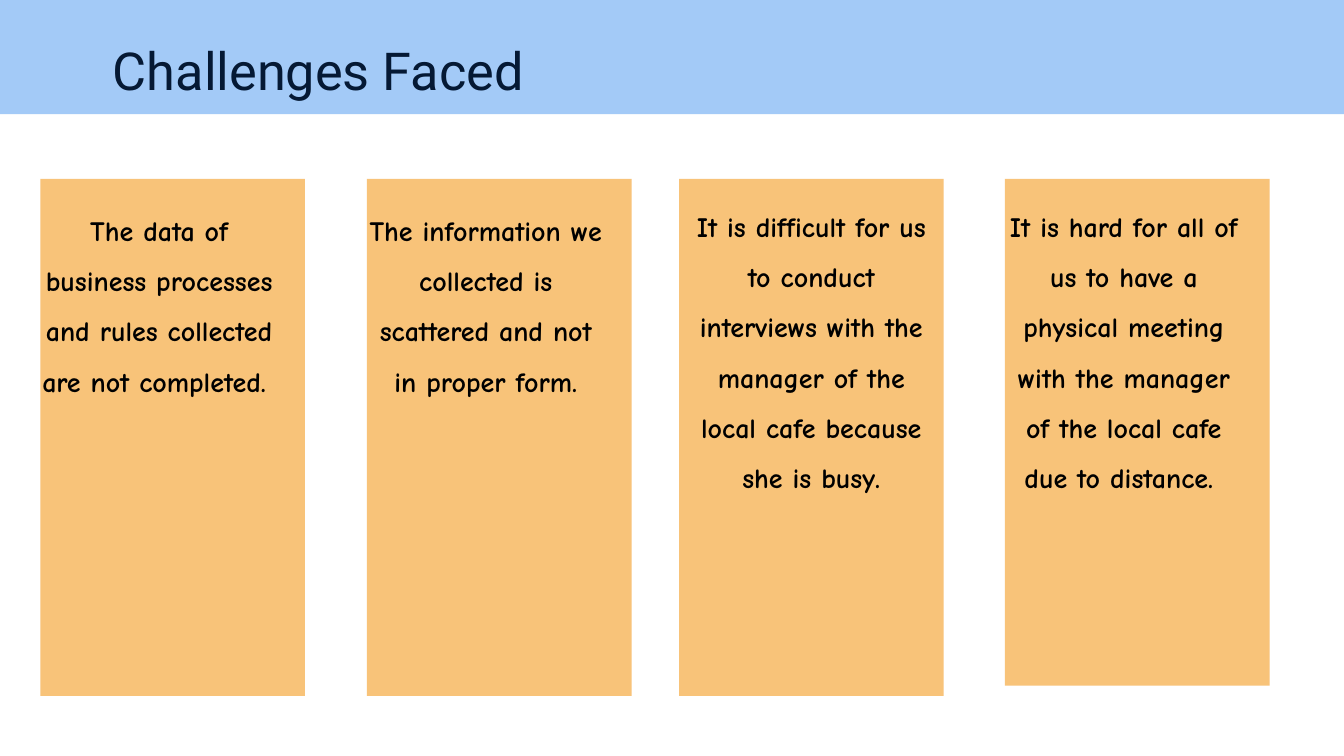
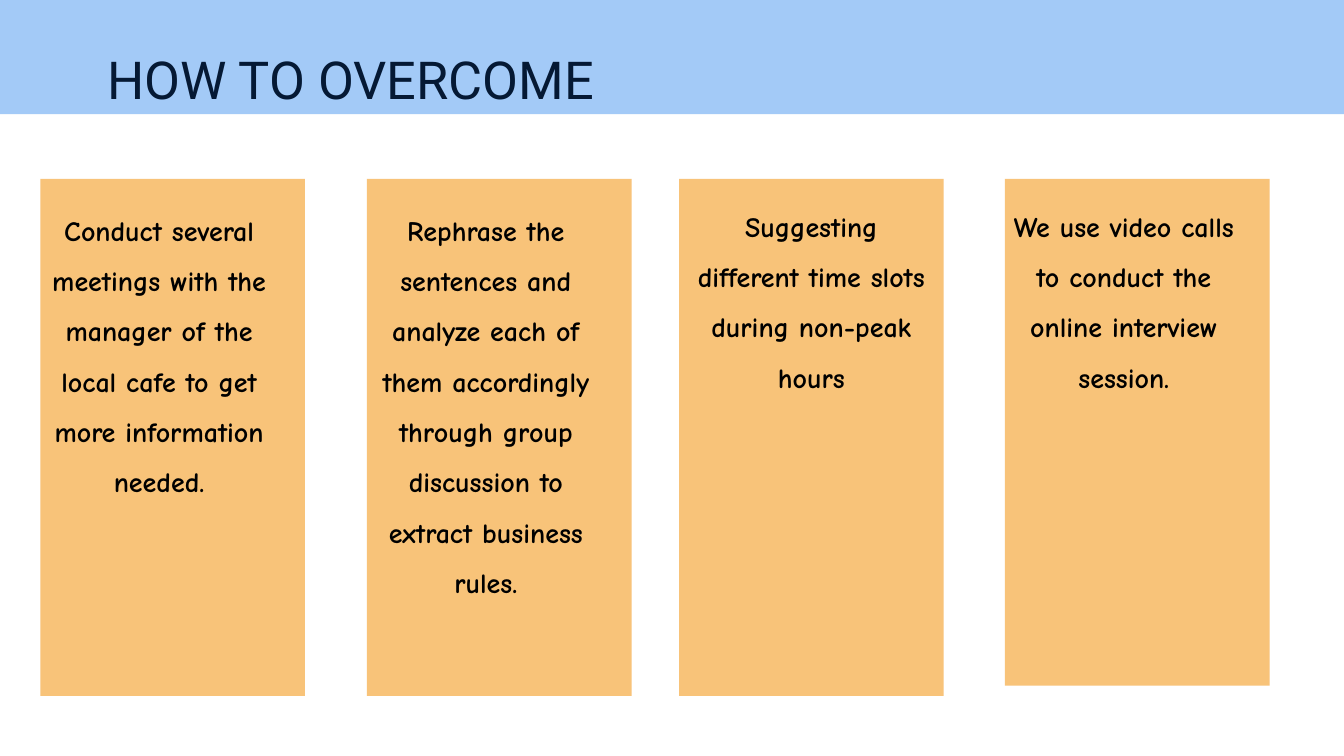
from dataclasses import dataclass

from lxml import etree
from pptx import Presentation
from pptx import util as u
from pptx.dml.color import RGBColor
from pptx.enum import shapes, text
from pptx.oxml.ns import qn

SLIDE_WIDTH, SLIDE_HEIGHT = 720, 405
BAND_HEIGHT = 61.2
CARD_TOP, CARD_WIDTH = 95.8, 141.8
COMPARISON_LAYOUT = 4

WHITE, BAND_BLUE, CARD_ORANGE = "FFFFFF", "A3CAF7", "F8C379"
TITLE_NAVY, BODY_BLACK = "051934", "000000"


@dataclass(frozen=True)
class Box:
    left: float
    top: float
    width: float
    height: float

    def lengths(self) -> tuple:
        return tuple(u.Pt(v) for v in (self.left, self.top, self.width, self.height))


@dataclass(frozen=True)
class TextStyle:
    font: str
    size: float
    colour: str
    bold: bool
    align: text.PP_ALIGN
    spacing: float


@dataclass(frozen=True)
class Column:
    card: Box
    caption: Box


@dataclass(frozen=True)
class Page:
    heading: str
    heading_box: Box
    points: tuple[str, ...]


HEADING = TextStyle("Roboto", 28, TITLE_NAVY, False, text.PP_ALIGN.LEFT, 1.0)
POINT = TextStyle("Comic Neue", 15, BODY_BLACK, True, text.PP_ALIGN.CENTER, 1.5)


def column(left: float, card_height: float, shift: float, drop: float, height: float) -> Column:
    return Column(
        Box(left, CARD_TOP, CARD_WIDTH, card_height),
        Box(left + shift, CARD_TOP + drop, CARD_WIDTH, height),
    )


COLUMNS = (
    column(21.6, 277, -7.2, 2.2, 61.2),
    column(196.6, 277, -7.2, 2.2, 61.2),
    column(363.8, 277, 0, 0, 95.8),
    column(538.4, 271.5, -7.2, 0, 65.5),
)

PAGES = (
    Page("Challenges Faced", Box(53.3, 13, 556.6, 45.4), (
        "The data of business processes and rules collected are not completed. ",
        "The information we collected is scattered and not in proper form.",
        "It is difficult for us to conduct interviews with the manager of the local cafe because she is busy.",
        "It is hard for all of us to have a physical meeting with the manager of the local cafe due to distance. ",
    )),
    Page("HOW TO OVERCOME", Box(50.4, 18, 556.6, 45.4), (
        "Conduct several meetings with the manager of the local cafe to get more information needed.",
        "Rephrase the sentences and analyze each of them accordingly through group discussion to extract business rules.",
        "Suggesting different time slots during non-peak hours",
        "We use video calls to conduct the online interview session.",
    )),
)


def rgb(colour: str) -> RGBColor:
    return RGBColor.from_string(colour)


def add_block(slide, box: Box, colour: str):
    block = slide.shapes.add_shape(shapes.MSO_SHAPE.RECTANGLE, *box.lengths())
    block.shadow.inherit = False
    block.fill.solid()
    block.fill.fore_color.rgb = rgb(colour)
    block.line.fill.background()
    return block


def fill_placeholder(holder, box: Box, wording: str, style: TextStyle) -> None:
    holder.left, holder.top, holder.width, holder.height = box.lengths()
    frame = holder.text_frame
    frame.word_wrap = True
    frame.auto_size = text.MSO_AUTO_SIZE.NONE
    frame.vertical_anchor = text.MSO_ANCHOR.TOP
    frame.margin_left = frame.margin_right = u.Pt(7.2)
    frame.margin_top = frame.margin_bottom = u.Pt(7.2)

    paragraph = frame.paragraphs[0]
    properties = paragraph._p.get_or_add_pPr()
    properties.set("marL", "0")
    properties.set("indent", "0")
    etree.SubElement(properties, qn("a:buNone"))
    paragraph.alignment = style.align
    paragraph.line_spacing = style.spacing
    paragraph.space_before = u.Pt(0)

    run = paragraph.add_run()
    run.text = wording
    run.font.name = style.font
    run.font.size = u.Pt(style.size)
    run.font.bold = style.bold
    run.font.color.rgb = rgb(style.colour)


def move_band_to_layout(slide, layout) -> None:
    band = add_block(slide, Box(0, 0, SLIDE_WIDTH, BAND_HEIGHT), BAND_BLUE)
    band.element.nvSpPr.cNvPr.set("id", "20")
    layout.placeholders[0].element.addprevious(band.element)


def add_page(deck, layout, page: Page):
    slide = deck.slides.add_slide(layout)
    heading, *captions = slide.placeholders
    fill_placeholder(heading, page.heading_box, page.heading, HEADING)
    for place, caption, point in zip(COLUMNS, captions, page.points):
        card = add_block(slide, place.card, CARD_ORANGE)
        fill_placeholder(caption, place.caption, point, POINT)
        card.element.addnext(caption.element)
    return slide


def main() -> None:
    deck = Presentation()
    deck.slide_width, deck.slide_height = u.Pt(SLIDE_WIDTH), u.Pt(SLIDE_HEIGHT)
    layout = deck.slide_layouts[COMPARISON_LAYOUT]
    layout.background.fill.solid()
    layout.background.fill.fore_color.rgb = rgb(WHITE)
    slides = [add_page(deck, layout, page) for page in PAGES]
    move_band_to_layout(slides[0], layout)
    deck.save("out.pptx")


if __name__ == "__main__":
    main()
